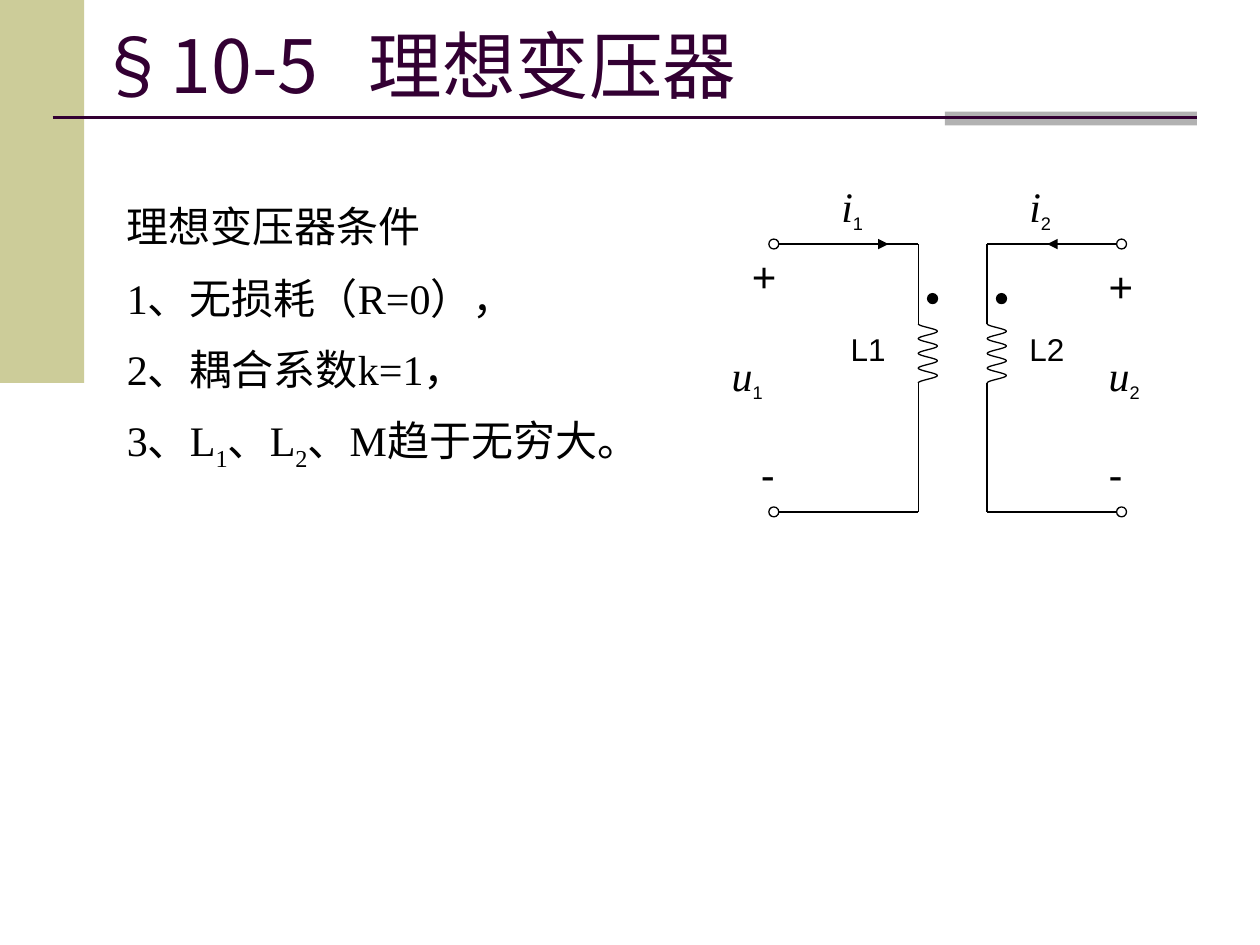
from lxml.etree import SubElement
from pptx import Presentation
from pptx.dml.color import RGBColor
from pptx.enum.shapes import MSO_CONNECTOR, MSO_SHAPE
from pptx.enum.text import MSO_ANCHOR, MSO_AUTO_SIZE, PP_ALIGN
from pptx.oxml.ns import qn
from pptx.util import Cm, Pt

COLORS = {"band": "CCCC99", "accent": "B2B2B2", "title": "330033", "ink": "000000"}
SANS, SERIF, HAN = "Arial", "Times New Roman", "Noto Sans CJK SC"

prs = Presentation()
prs.slide_width, prs.slide_height = Cm(25.4), Cm(19.05)
slide = prs.slides.add_slide(prs.slide_layouts[5])
shapes = slide.shapes


def add_run(paragraph, text, size, face, color="ink", italic=False, sub=False):
    run = paragraph.add_run()
    run.text = text
    run.font.size = Pt(size)
    run.font.name = face
    run.font.italic = italic
    run.font.color.rgb = RGBColor.from_string(COLORS[color])
    props = run._r.get_or_add_rPr()
    SubElement(props, qn("a:ea")).set("typeface", HAN)
    if sub:
        props.set("baseline", "-25000")


def add_wire(x1, y1, x2, y2, color="ink", width=0.75, arrow=False):
    wire = shapes.add_connector(MSO_CONNECTOR.STRAIGHT, Cm(x1), Cm(y1), Cm(x2), Cm(y2))
    wire.line.color.rgb = RGBColor.from_string(COLORS[color])
    wire.line.width = Pt(width)
    if arrow:
        SubElement(wire.line._get_or_add_ln(), qn("a:tailEnd")).set("type", "triangle")
    SubElement(wire._element.spPr, qn("a:effectLst"))


for color, left, top, width, height in [
    ("band", 0, 0, 1.7, 7.72),
    ("accent", 19.05, 2.25, 5.08, 0.28),
]:
    bar = shapes.add_shape(MSO_SHAPE.RECTANGLE, Cm(left), Cm(top), Cm(width), Cm(height))
    bar.shadow.inherit = False
    bar.fill.solid()
    bar.fill.fore_color.rgb = RGBColor.from_string(COLORS[color])
    bar.line.fill.background()
add_wire(1.06, 2.37, 24.13, 2.37, "title", 1.5)

title = shapes.title
title.left, title.top, title.width, title.height = Cm(1.7), Cm(0.51), Cm(22.43), Cm(1.55)
title.text_frame.auto_size = MSO_AUTO_SIZE.NONE
title.text_frame.vertical_anchor = MSO_ANCHOR.MIDDLE
heading = title.text_frame.paragraphs[0]
heading.alignment = PP_ALIGN.LEFT
tab_list = SubElement(heading._p.get_or_add_pPr(), qn("a:tabLst"))
tab_stop = SubElement(tab_list, qn("a:tab"))
tab_stop.set("pos", str(Cm(5.48)))
tab_stop.set("algn", "l")
add_run(heading, "§10-5\t理想变压器", 42, HAN, "title")

conditions = shapes.add_textbox(Cm(2.31), Cm(3.92), Cm(10.21), Cm(5.89)).text_frame
conditions.word_wrap = True
for index, parts in enumerate([
    ["理想变压器条件"],
    ["1、无损耗（R=0），"],
    ["2、耦合系数k=1，"],
    ["3、L", "1", "、L", "2", "、M趋于无穷大。"],
]):
    condition = conditions.add_paragraph() if index else conditions.paragraphs[0]
    condition.space_before = Pt(12 if index else 0)
    for position, part in enumerate(parts):
        add_run(condition, part, 24, SERIF, sub=position % 2 == 1)

top_y, coil_top, coil_bottom, bottom_y = 4.92, 6.53, 7.72, 10.32
radius, half_turns, coil_depth = 0.1, 8, 0.39
for coil_x, terminal_x, inward, arrow_from, arrow_to, lower_wires in [
    (18.51, 15.6, 1, 16.51, 17.91, [(coil_bottom, 8.33), (9.53, 8.13), (9.53, bottom_y)]),
    (19.9, 22.61, -1, 21.89, 21.11, [(coil_bottom, 8.33), (8.13, bottom_y)]),
]:
    points = [
        (Cm(coil_x + coil_depth * (turn % 2)),
         Cm(coil_top + (coil_bottom - coil_top) * turn / half_turns))
        for turn in range(half_turns + 1)
    ]
    builder = shapes.build_freeform(*points[0])
    builder.add_line_segments(points[1:], close=False)
    coil = builder.convert_to_shape()
    coil.shadow.inherit = False
    coil.fill.background()
    coil.line.color.rgb = RGBColor.from_string(COLORS["ink"])
    coil.line.width = Pt(0.75)
    outline = next(coil._element.iter(qn("a:path")))
    for segment in outline.findall(qn("a:lnTo")):
        outline.remove(segment)
    origin_x, origin_y = points[0]
    for (x1, y1), (x2, y2) in zip(points, points[1:]):
        curve = SubElement(outline, qn("a:cubicBezTo"))
        third = (y2 - y1) // 3
        for x, y in [(x1, y1 + third), (x2, y2 - third), (x2, y2)]:
            knot = SubElement(curve, qn("a:pt"))
            knot.set("x", str(x - origin_x))
            knot.set("y", str(y - origin_y))

    add_wire(coil_x, coil_top, coil_x, top_y)
    for start_y, end_y in lower_wires:
        add_wire(coil_x, start_y, coil_x, end_y)
    for y in (top_y, bottom_y):
        add_wire(coil_x, y, terminal_x + inward * radius, y)
    add_wire(arrow_from, top_y, arrow_to, top_y, arrow=True)

    for x, y, filled in [
        (terminal_x, top_y, False),
        (terminal_x, bottom_y, False),
        (coil_x + 0.29, 6.02, True),
    ]:
        node = shapes.add_shape(
            MSO_SHAPE.OVAL, Cm(x - radius), Cm(y - radius), Cm(2 * radius), Cm(2 * radius))
        node.shadow.inherit = False
        if filled:
            node.fill.solid()
            node.fill.fore_color.rgb = RGBColor.from_string(COLORS["ink"])
        else:
            node.fill.background()
        node.line.color.rgb = RGBColor.from_string(COLORS["ink"])
        node.line.width = Pt(0.75)

for symbol, subscript, size, left, top in [
    ("+", "", 24, 14.91, 4.93),
    ("-", "", 24, 15.09, 8.92),
    ("+", "", 24, 22.1, 5.13),
    ("-", "", 24, 22.1, 8.92),
    ("L1", "", 18, 16.9, 6.53),
    ("L2", "", 18, 20.5, 6.53),
    ("u", "1", 24, 14.5, 6.93),
    ("u", "2", 24, 22.1, 6.93),
    ("i", "1", 24, 16.71, 3.52),
    ("i", "2", 24, 20.5, 3.52),
]:
    label = shapes.add_textbox(Cm(left), Cm(top), Cm(1.4), Cm(1.27 if size == 24 else 1.02))
    label.text_frame.word_wrap = True
    quantity = label.text_frame.paragraphs[0]
    add_run(quantity, symbol, size, SERIF if subscript else SANS, italic=bool(subscript))
    if subscript:
        add_run(quantity, subscript, 18, SANS, sub=True)

prs.save("out.pptx")
